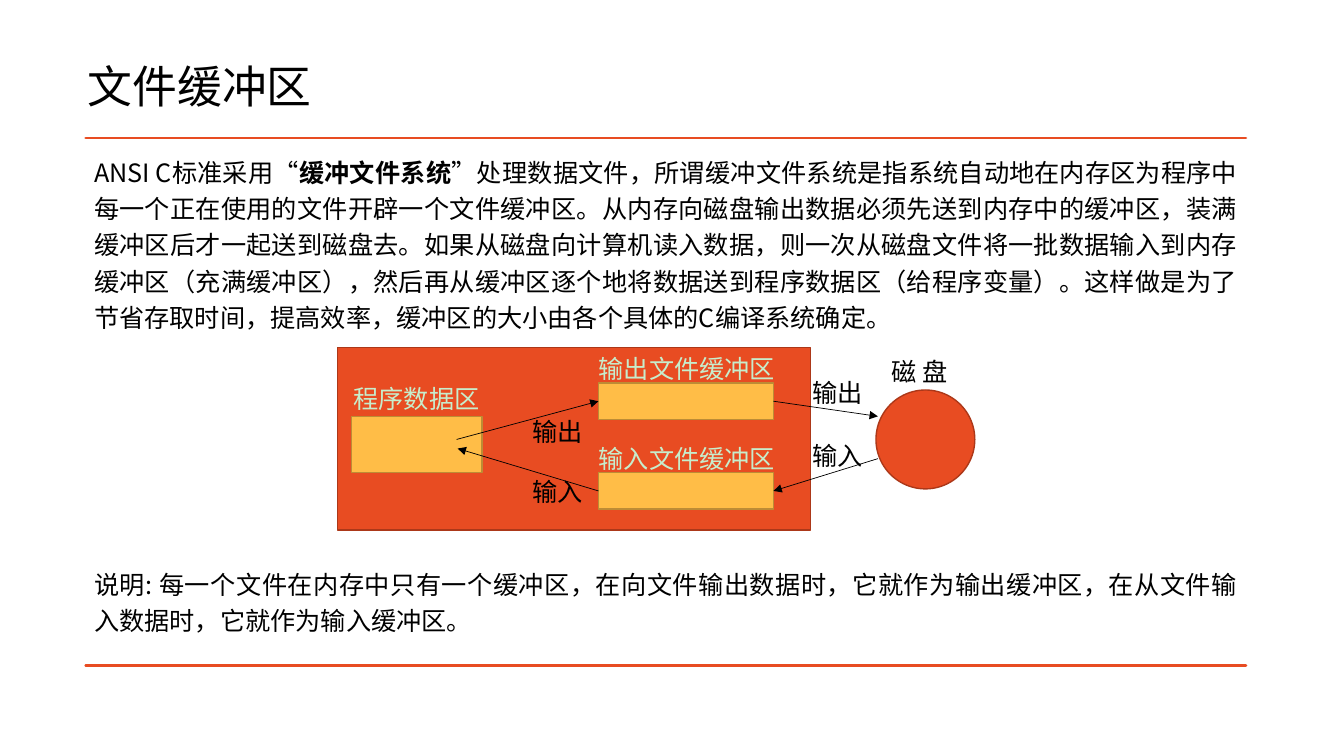
from typing import NamedTuple

from pptx import Presentation
from pptx.dml.color import RGBColor
from pptx.enum.shapes import MSO_CONNECTOR, MSO_SHAPE
from pptx.enum.text import PP_ALIGN
from pptx.oxml.ns import qn
from pptx.util import Pt
from lxml.etree import SubElement

FONT = "Noto Sans CJK SC"
BLACK, ORANGE, AMBER, MINT = "000000", "E84C22", "FFBD47", "C7EDCC"
RIGHT, LEFT = 3, 1
TEXT_SIZE = 18


class Block(NamedTuple):
    key: str
    kind: MSO_SHAPE
    x: float
    y: float
    w: float
    h: float
    fill: str
    line: str


class Label(NamedTuple):
    text: str
    x: float
    y: float
    color: str = BLACK
    size: float = TEXT_SIZE


class Arrow(NamedTuple):
    start: tuple[float, float]
    end: tuple[float, float]
    block: str
    side: int
    block_at_start: bool


BLOCKS = [
    Block("memory", MSO_SHAPE.RECTANGLE, 241.2, 248.4, 337.7, 130.3, ORANGE, "AC3819"),
    Block("disk", MSO_SHAPE.OVAL, 625.7, 278.6, 70.6, 70.6, ORANGE, "AC3819"),
    Block("output", MSO_SHAPE.RECTANGLE, 427.5, 273.6, 125, 26, AMBER, "BD8C35"),
    Block("program", MSO_SHAPE.RECTANGLE, 251.3, 297.4, 93, 40.3, AMBER, "BD8C35"),
    Block("input", MSO_SHAPE.RECTANGLE, 427.5, 337.7, 125, 26, AMBER, "BD8C35"),
]
ARROWS = [
    Arrow((552.5, 286.6), (627.1, 297.4), "output", RIGHT, True),
    Arrow((627.1, 327.6), (552.5, 350.7), "input", RIGHT, False),
    Arrow((326.2, 313.9), (427.5, 286.6), "output", LEFT, False),
    Arrow((427.5, 350.7), (326.9, 320.4), "input", LEFT, True),
]
LABELS = [
    Label("文件缓冲区", 62.6, 42, size=32),
    Label("程序数据区", 252.5, 274, MINT),
    Label("输出文件缓冲区", 427.6, 252.5, MINT),
    Label("输入文件缓冲区", 427.6, 317, MINT),
    Label("输出", 380.5, 297.5),
    Label("输入", 380.5, 340.4),
    Label("输出", 580.6, 269.3),
    Label("输入", 580.6, 314.6),
    Label("磁 盘", 637, 254.4),
]
INTRO = [
    ("ANSI C标准采用“", False),
    ("缓冲文件系统", True),
    ("”处理数据文件，所谓缓冲文件系统是指系统自动地在内存区为程序中每一个正在使用的文件"
     "开辟一个文件缓冲区。从内存向磁盘输出数据必须先送到内存中的缓冲区，装满缓冲区后才一起"
     "送到磁盘去。如果从磁盘向计算机读入数据，则一次从磁盘文件将一批数据输入到内存缓冲区"
     "（充满缓冲区），然后再从缓冲区逐个地将数据送到程序数据区（给程序变量）。这样做是为了"
     "节省存取时间，提高效率，缓冲区的大小由各个具体的C编译系统确定。", False),
]
NOTE = [
    ("说明: 每一个文件在内存中只有一个缓冲区，在向文件输出数据时，它就作为输出缓冲区，"
     "在从文件输入数据时，它就作为输入缓冲区。", False),
]


def rgb(color: str) -> RGBColor:
    return RGBColor.from_string(color)


def add_text(s, runs: list[tuple[str, bool]], x: float, y: float, w: float, h: float,
             color: str = BLACK, size: float = TEXT_SIZE, justify: bool = False) -> None:
    """Add a one-paragraph text box without margins; runs are (text, bold)."""
    tf = s.shapes.add_textbox(Pt(x), Pt(y), Pt(w), Pt(h)).text_frame
    tf.margin_left = tf.margin_right = tf.margin_top = tf.margin_bottom = 0
    tf.word_wrap = justify
    p = tf.paragraphs[0]
    p.alignment = PP_ALIGN.JUSTIFY if justify else PP_ALIGN.LEFT
    p.line_spacing = 1.2 if justify else 1.0
    p.font.size = Pt(size)
    p.font.color.rgb = rgb(color)
    p.font.name = FONT
    SubElement(p.font._element, qn("a:ea"), typeface=FONT)
    for text, bold in runs:
        r = p.add_run()
        r.text = text
        if bold:
            r.font.bold = True


def add_rules(s, left: float, right: float, top: float, bottom: float) -> None:
    """Draw the two horizontal rules as one outline."""
    outline = s.shapes.build_freeform(Pt(left), Pt(bottom))
    outline.add_line_segments([(Pt(right), Pt(bottom))])
    outline.move_to(Pt(left), Pt(top))
    outline.add_line_segments([(Pt(right), Pt(top))])
    sp = outline.convert_to_shape()
    sp.shadow.inherit = False
    sp.fill.background()
    sp.line.color.rgb = rgb(ORANGE)
    sp.line.width = Pt(2)


def add_block(s, block: Block):
    sp = s.shapes.add_shape(block.kind, Pt(block.x), Pt(block.y), Pt(block.w), Pt(block.h))
    sp.shadow.inherit = False
    sp.fill.solid()
    sp.fill.fore_color.rgb = rgb(block.fill)
    sp.line.color.rgb = rgb(block.line)
    sp.line.width = Pt(1)
    return sp


def add_arrow(s, arrow: Arrow, block) -> None:
    line = s.shapes.add_connector(MSO_CONNECTOR.STRAIGHT, *map(Pt, arrow.start + arrow.end))
    line.line.color.rgb = rgb(BLACK)
    line.line.width = Pt(0.5)
    SubElement(line.line._get_or_add_ln(), qn("a:tailEnd"), type="triangle")
    SubElement(line._element.spPr, qn("a:effectLst"))
    join = line.begin_connect if arrow.block_at_start else line.end_connect
    join(block, arrow.side)


def main() -> None:
    prs = Presentation()
    prs.slide_width, prs.slide_height = Pt(960), Pt(540)
    s = prs.slides.add_slide(prs.slide_layouts[6])

    add_rules(s, 61.2, 889.9, 98.6, 475.2)
    add_text(s, INTRO, 67.3, 108, 817, 130, justify=True)
    add_text(s, NOTE, 67.3, 402, 817, 52, justify=True)

    blocks = {block.key: add_block(s, block) for block in BLOCKS}
    for arrow in ARROWS:
        add_arrow(s, arrow, blocks[arrow.block])
    for label in LABELS:
        add_text(s, [(label.text, False)], label.x, label.y,
                 (len(label.text) + 0.5) * label.size, label.size * 1.45,
                 label.color, label.size)

    prs.save("out.pptx")


if __name__ == "__main__":
    main()
